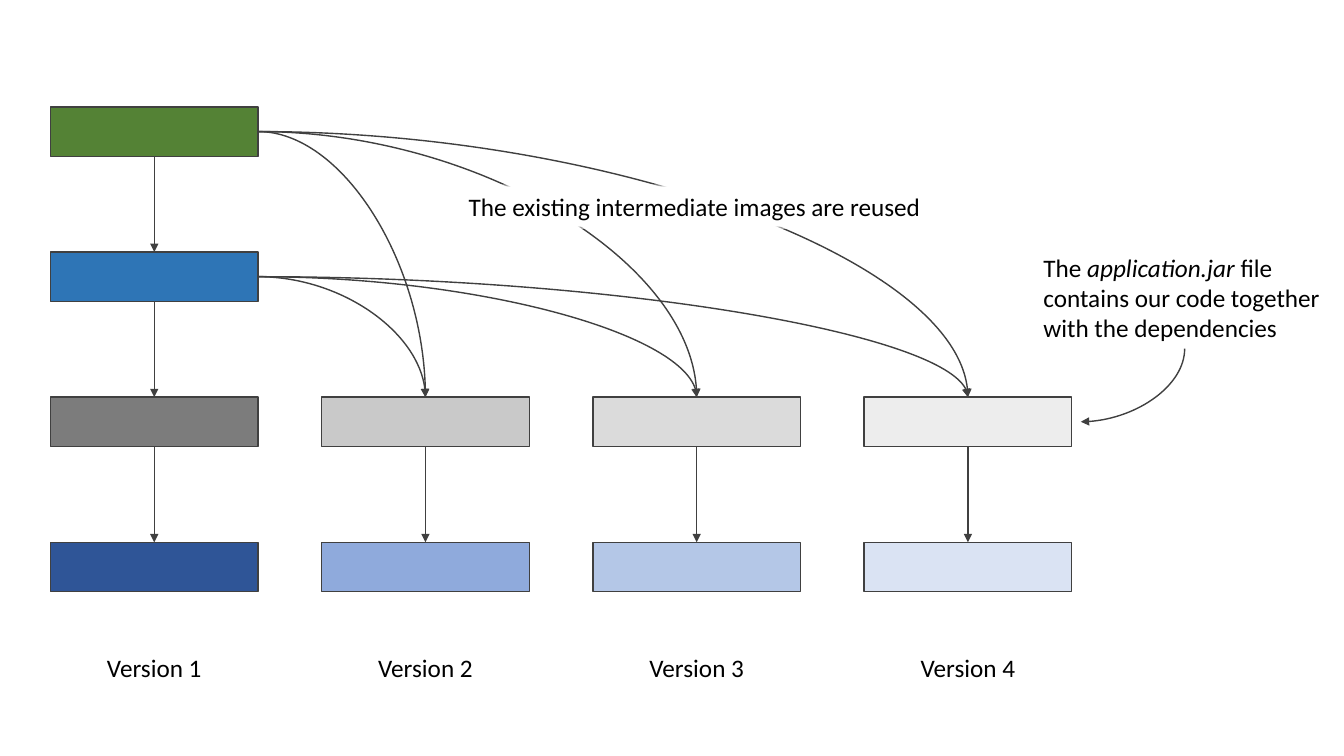
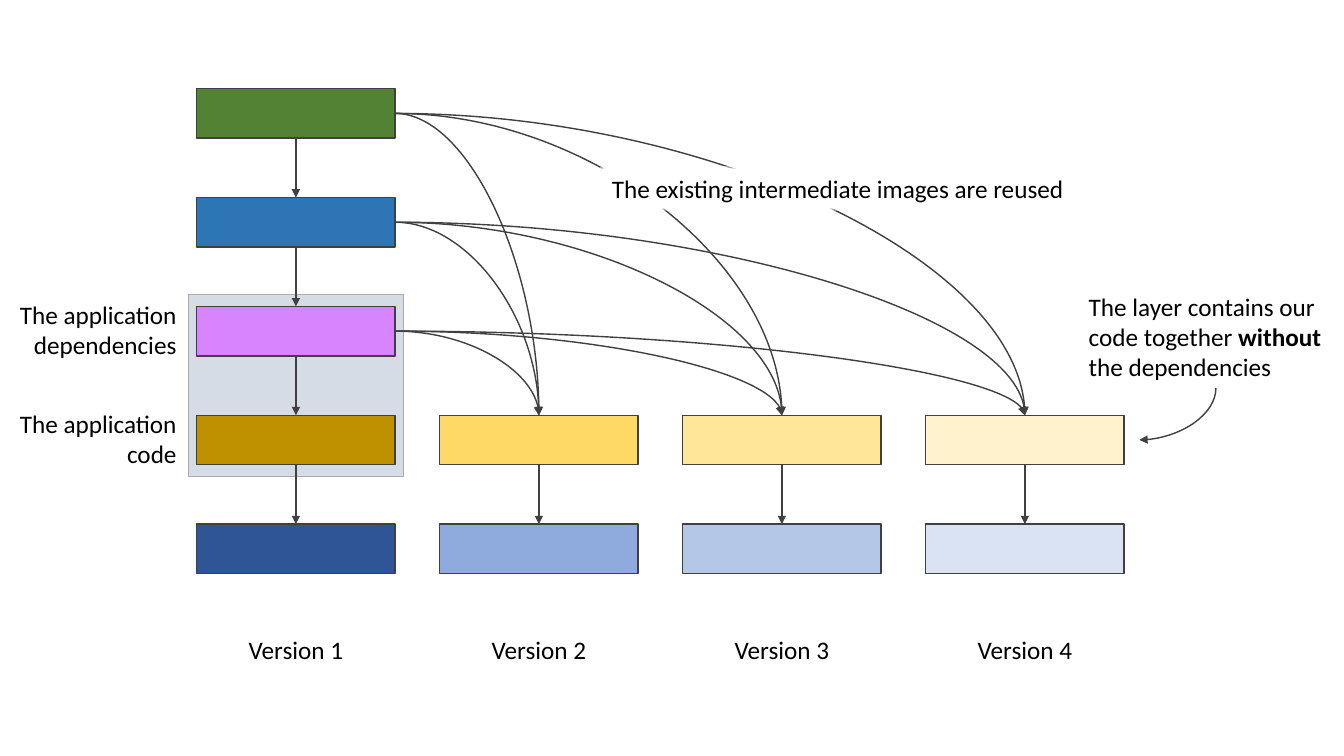
import pptx
import pptx.util
import pptx.dml.color
import pptx.enum.shapes
import pptx.enum.text
import pptx.oxml
import pptx.oxml.ns
from lxml import etree

Inches = pptx.util.Inches
RGBColor = pptx.dml.color.RGBColor
RECTANGLE = pptx.enum.shapes.MSO_SHAPE.RECTANGLE
CONNECTOR = pptx.enum.shapes.MSO_CONNECTOR
ALIGN = pptx.enum.text.PP_ALIGN
qn = pptx.oxml.ns.qn

# Shared look
COLORS = {
    "line": "404040", "text": "000000", "white": "FFFFFF",
    "frame": "D6DCE5", "frame line": "AFABAB",
    "green": "548235", "blue": "2E75B6", "purple": "D883FF",
}
NAVY_SHADES = ["2F5597", "8FAADC", "B4C7E7", "DAE3F3"]
FONT, FONT_SIZE = "Calibri", 18
BOX_HEIGHT = 0.49
FRAME_MARGIN_X, FRAME_MARGIN_Y = 0.08, 0.12
NOTE_HEIGHT = 1.01

# Each diagram is a grid: origin, pitch of columns and rows, and its content
DIAGRAMS = [
    {
        "left": 0.5, "top": 1.06, "column": 2.69, "row": 1.44, "box width": 2.06,
        "shared layers": ["green", "blue"],
        "code shades": ["7C7C7C", "C9C9C9", "DBDBDB", "EDEDED"],
        "framed rows": {},
        "banner left": 4.55,
        "note": [("The ", ""), ("application.jar", "italic"),
                 (" file contains our code together with the dependencies", "")],
        "note box": (10.25, 2.45, 3.02), "note arrow": (11.75, 10.72),
    },
    {
        "left": 1.95, "top": 0.88, "column": 2.41, "row": 1.08, "box width": 1.97,
        "shared layers": ["green", "blue", "purple"],
        "code shades": ["BF9000", "FFD966", "FFE699", "FFF2CC"],
        "framed rows": {2: "The application dependencies", 3: "The application code"},
        "banner left": 5.97,
        "note": [("The layer contains our code together ", ""), ("without", "bold"),
                 (" the dependencies", "")],
        "note box": (10.7, 2.84, 2.63), "note arrow": (12.06, 11.3),
    },
]


def write(shape, runs, align=ALIGN.LEFT, wrap=True):
    """Fill a shape with one paragraph of (text, emphasis) runs."""
    shape.text_frame.word_wrap = wrap
    paragraph = shape.text_frame.paragraphs[0]
    paragraph.alignment = align
    for text, emphasis in runs:
        run = paragraph.add_run()
        run.text = text
        run.font.name = FONT
        run.font.size = pptx.util.Pt(FONT_SIZE)
        run.font.bold = emphasis == "bold"
        run.font.italic = emphasis == "italic"
        run.font.color.rgb = RGBColor.from_string(COLORS["text"])


def connect(slide, start, end, curved=False, arrow="a:tailEnd"):
    """Draw a straight line or a quarter curve with one arrowhead."""
    kind = CONNECTOR.CURVE if curved else CONNECTOR.STRAIGHT
    connector = slide.shapes.add_connector(kind, *map(Inches, start + end))
    connector.line.color.rgb = RGBColor.from_string(COLORS["line"])
    connector.line.width = pptx.util.Pt(1)
    properties = connector._element.spPr
    if curved:
        properties.find(qn("a:prstGeom")).set("prst", "curvedConnector2")
    etree.SubElement(properties.find(qn("a:ln")), qn(arrow), type="triangle")
    etree.SubElement(properties, qn("a:effectLst"))


presentation = pptx.Presentation()
presentation.slide_width = Inches(13.33)
presentation.slide_height = Inches(7.5)

for diagram in DIAGRAMS:
    slide = presentation.slides.add_slide(presentation.slide_layouts[6])
    width = diagram["box width"]
    shared = diagram["shared layers"]
    code_row = len(shared)
    lefts = [diagram["left"] + diagram["column"] * i for i in range(4)]
    tops = [diagram["top"] + diagram["row"] * i for i in range(code_row + 2)]
    centers = [left + width / 2 for left in lefts]
    middles = [top + BOX_HEIGHT / 2 for top in tops]

    # Frame behind the application rows, then the boxes
    rectangles = []
    framed = diagram["framed rows"]
    if framed:
        frame_top = tops[min(framed)] - FRAME_MARGIN_Y
        frame_bottom = tops[max(framed)] + BOX_HEIGHT + FRAME_MARGIN_Y
        rectangles.append((lefts[0] - FRAME_MARGIN_X, frame_top, width + 2 * FRAME_MARGIN_X,
                           frame_bottom - frame_top, COLORS["frame"], COLORS["frame line"]))
    for top, layer in zip(tops, shared):
        rectangles.append((lefts[0], top, width, BOX_HEIGHT, COLORS[layer], COLORS["line"]))
    for top, shades in zip(tops[code_row:], (diagram["code shades"], NAVY_SHADES)):
        for left, shade in zip(lefts, shades):
            rectangles.append((left, top, width, BOX_HEIGHT, shade, COLORS["line"]))
    for *place, fill, line in rectangles:
        shape = slide.shapes.add_shape(RECTANGLE, *map(Inches, place))
        shape.shadow.inherit = False
        shape.fill.solid()
        shape.fill.fore_color.rgb = RGBColor.from_string(fill)
        shape.line.color.rgb = RGBColor.from_string(line)
        shape.line.width = pptx.util.Pt(1)

    # Arrows down each column
    for column, center in enumerate(centers):
        for row in range(code_row if column else 0, code_row + 1):
            connect(slide, (center, tops[row] + BOX_HEIGHT), (center, tops[row + 1]))

    # Curves from the shared layers to the later versions
    for middle in middles[:code_row]:
        for center in centers[1:]:
            connect(slide, (lefts[0] + width, middle), (center, tops[code_row]), curved=True)

    # Banner across the curves
    banner = slide.shapes.add_shape(RECTANGLE, Inches(diagram["banner left"]),
                                    Inches(tops[0] + 0.79), Inches(4.74), Inches(0.4))
    banner.shadow.inherit = False
    banner.fill.solid()
    banner.fill.fore_color.rgb = RGBColor.from_string(COLORS["white"])
    banner.line.color.rgb = RGBColor.from_string(COLORS["white"])
    banner.line.width = pptx.util.Pt(3)
    line_color = banner._element.spPr.find(qn("a:ln")).find(".//" + qn("a:srgbClr"))
    etree.SubElement(line_color, qn("a:alpha"), val="50000")
    write(banner, [("The existing intermediate images are reused", "")], wrap=False)

    # Version labels under the columns
    for number, center in enumerate(centers, start=1):
        label = slide.shapes.add_textbox(Inches(center - 0.575), Inches(tops[-1] + 1.04),
                                         Inches(1.15), Inches(0.4))
        write(label, [(f"Version {number}", "")], ALIGN.CENTER, wrap=False)

    # Labels beside the framed rows
    for row, text in framed.items():
        label = slide.shapes.add_textbox(Inches(0.05), Inches(tops[row] - FRAME_MARGIN_Y),
                                         Inches(1.8), Inches(0.71))
        write(label, [(text, "")], ALIGN.RIGHT)

    # Note with its arrow to the last code box
    note_left, note_top, note_width = diagram["note box"]
    note = slide.shapes.add_textbox(Inches(note_left), Inches(note_top),
                                    Inches(note_width), Inches(NOTE_HEIGHT))
    write(note, diagram["note"])
    arrow_start, arrow_tip = diagram["note arrow"]
    connect(slide, (arrow_tip, middles[code_row]), (arrow_start, note_top + NOTE_HEIGHT),
            curved=True, arrow="a:headEnd")

presentation.save("out.pptx")
